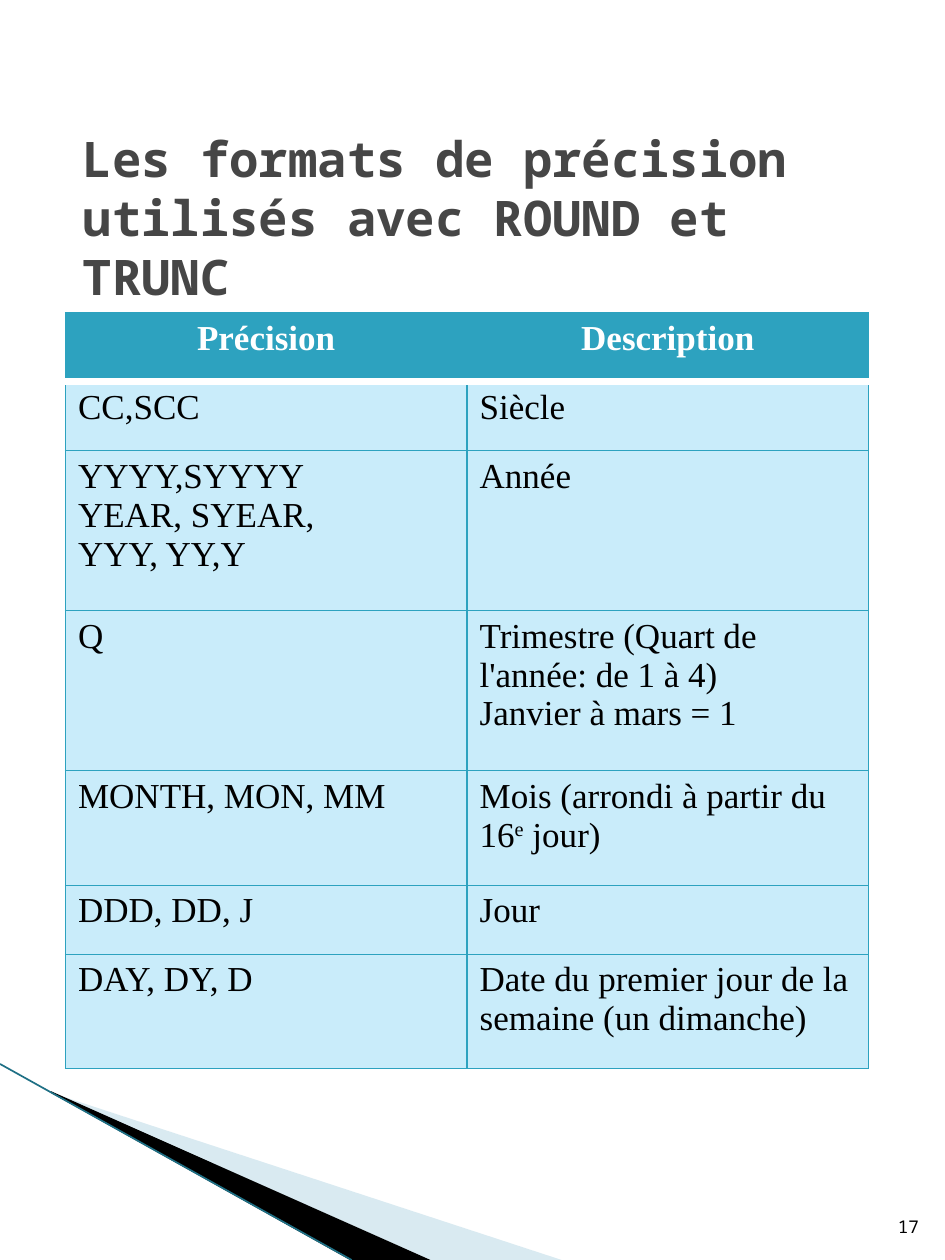
from lxml.etree import SubElement
from pptx import Presentation
from pptx.dml.color import RGBColor
from pptx.enum.shapes import MSO_CONNECTOR
from pptx.enum.text import MSO_ANCHOR, PP_ALIGN
from pptx.oxml.ns import qn
from pptx.util import Pt

COLORS = {
    "white": "FFFFFF", "black": "000000", "title": "464646", "teal": "2DA2BF",
    "cell": "C9ECFA", "pale": "A0CBDC", "edge": "1F7085",
}
MONO, SERIF = "Noto Sans Mono", "Times New Roman"
TITLE = "Les formats de précision utilisés avec ROUND et TRUNC"
ROW_HEIGHTS = [39.5, 39.5, 91.4, 91.4, 65.4, 39.5, 65.4]
ROWS = [
    ("Précision", "Description"),
    ("CC,SCC", "Siècle"),
    ("YYYY,SYYYY\nYEAR, SYEAR,\nYYY, YY,Y", "Année"),
    ("Q", "Trimestre (Quart de l'année: de 1 à 4)\nJanvier à mars = 1"),
    ("MONTH, MON, MM", "Mois (arrondi à partir du 16^e^ jour)"),
    ("DDD, DD, J", "Jour"),
    ("DAY, DY, D", "Date du premier jour de la semaine (un dimanche)"),
]


def rgb(name):
    return RGBColor.from_string(COLORS[name])


class SlideBuilder:
    """Draws styled elements on one slide, with lengths in points."""

    def __init__(self, slide):
        self.slide = slide

    def fill_text(self, frame, text, color, align=PP_ALIGN.LEFT, **font):
        for index, line in enumerate(text.split("\n")):
            para = frame.paragraphs[0] if index == 0 else frame.add_paragraph()
            para.alignment = align
            for position, piece in enumerate(line.split("^")):
                span = para.add_run()
                span.text = piece
                for name, value in font.items():
                    setattr(span.font, name, value)
                span.font.color.rgb = rgb(color)
                if position % 2:
                    span._r.get_or_add_rPr().set("baseline", "30000")

    def text(self, bounds, text, color, anchor, **format_values):
        box = self.slide.shapes.add_textbox(*map(Pt, bounds))
        box.text_frame.word_wrap = True
        box.text_frame.vertical_anchor = anchor
        self.fill_text(box.text_frame, text, color, **format_values)

    def polygon(self, points, color, opacity=100):
        start, *others = [(Pt(x), Pt(y)) for x, y in points]
        builder = self.slide.shapes.build_freeform(*start)
        builder.add_line_segments(others, close=True)
        shape = builder.convert_to_shape()
        shape.shadow.inherit = False
        shape.fill.solid()
        shape.fill.fore_color.rgb = rgb(color)
        shape.line.fill.background()
        if opacity < 100:
            fill = shape._element.spPr.find(qn("a:solidFill"))
            SubElement(fill[0], qn("a:alpha"), val=str(opacity * 1000))

    def line(self, start, end, color, width):
        line = self.slide.shapes.add_connector(
            MSO_CONNECTOR.STRAIGHT, *map(Pt, start + end))
        line.line.color.rgb = rgb(color)
        line.line.width = Pt(width)
        SubElement(line._element.spPr, qn("a:effectLst"))

    def border(self, cell, side, color, width):
        properties = cell._tc.get_or_add_tcPr()
        edge = SubElement(properties, qn("a:ln" + side), w=str(Pt(width)))
        fill = SubElement(edge, qn("a:solidFill"))
        SubElement(fill, qn("a:srgbClr"), val=COLORS[color])

    def table(self, left, top, column_width, heights, rows):
        size = (column_width * len(rows[0]), sum(heights))
        table = self.slide.shapes.add_table(
            len(rows), len(rows[0]), *map(Pt, (left, top, *size))).table
        for column in table.columns:
            column.width = Pt(column_width)
        for index, (height, texts) in enumerate(zip(heights, rows)):
            table.rows[index].height = Pt(height)
            header = index == 0
            borders = {side: ("teal", 0.75) for side in "LRTB"}
            if index < 2:
                borders["B" if header else "T"] = ("white", 4.33)
            for column, text in enumerate(texts):
                cell = table.cell(index, column)
                for side, style in borders.items():
                    self.border(cell, side, *style)
                cell.fill.solid()
                cell.fill.fore_color.rgb = rgb("teal" if header else "cell")
                self.fill_text(
                    cell.text_frame, text, "white" if header else "black",
                    PP_ALIGN.CENTER if header else PP_ALIGN.LEFT,
                    name=SERIF, size=Pt(20), bold=header)


def main():
    deck = Presentation()
    deck.slide_width, deck.slide_height = Pt(540), Pt(720)
    page = SlideBuilder(deck.slides.add_slide(deck.slide_layouts[6]))
    page.polygon([(29.5, 624.5), (321, 720), (246, 720)], "pale", 40)
    page.polygon([(29, 623.5), (246, 720), (200, 720), (29, 624.5)], "black")
    page.line((0, 608), (201, 720), "edge", 0.95)
    page.text((40.3, 64, 459.4, 120.2), TITLE, "title", MSO_ANCHOR.MIDDLE,
              name=MONO, size=Pt(28), bold=True)
    page.table(37.4, 178.6, 229.5, ROW_HEIGHTS, ROWS)
    page.text((496.8, 672.5, 35.3, 38.2), "17", "black", MSO_ANCHOR.BOTTOM,
              align=PP_ALIGN.RIGHT, name=MONO, size=Pt(10))
    deck.save("out.pptx")


if __name__ == "__main__":
    main()
